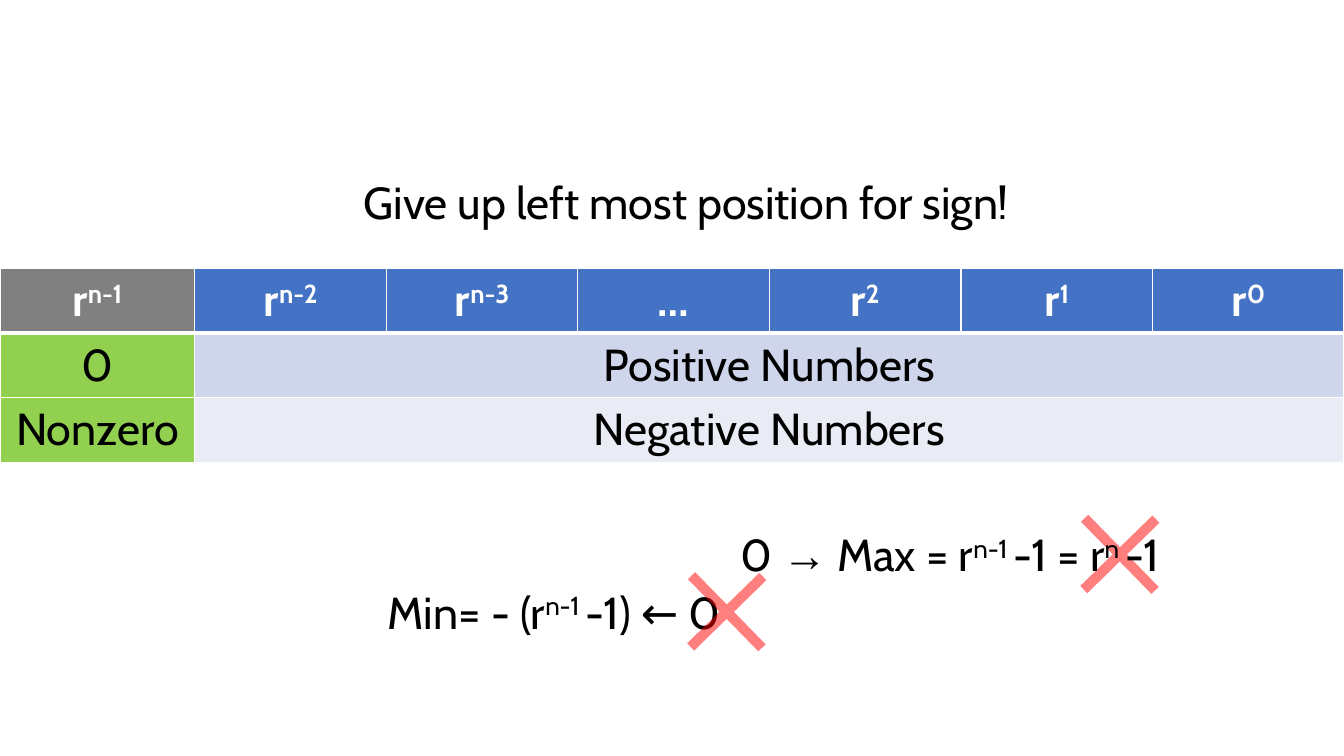
"""Build the slide on signed numbers with a sign position."""
from itertools import groupby
from lxml.etree import SubElement
from pptx import Presentation
from pptx.dml.color import RGBColor
from pptx.enum.shapes import MSO_SHAPE as SHAPE
from pptx.enum.text import MSO_AUTO_SIZE as FIT, PP_ALIGN as ALIGN
from pptx.oxml import parse_xml
from pptx.oxml.ns import nsdecls, qn
from pptx.util import Pt

BLACK = RGBColor(0x00, 0x00, 0x00)
WHITE = RGBColor(0xFF, 0xFF, 0xFF)
GRAY = RGBColor(0x80, 0x80, 0x80)
BLUE = RGBColor(0x44, 0x72, 0xC4)
GREEN = RGBColor(0x92, 0xD0, 0x50)
PALE = RGBColor(0xCF, 0xD5, 0xEA)
LIGHT = RGBColor(0xE9, 0xEB, 0xF5)
RED = RGBColor(0xFF, 0x00, 0x00)


def write(frame, text, color=BLACK, bold=False, align=ALIGN.LEFT):
    """Write text into a frame, with superscripts between carets."""
    par = frame.paragraphs[0]
    par.alignment = align
    for place, part in enumerate(text.split("^")):
        for arrow, chars in groupby(part, lambda char: char == "→"):
            run = par.add_run()
            run.text = "".join(chars)
            font = run.font
            font.name = "Times New Roman" if arrow else "Cabin"
            font.size, font.bold = Pt(32), bold
            font.color.rgb = color
            if place % 2:
                run._r.get_or_add_rPr().set("baseline", "30000")


def cross(left, top):
    """Draw a translucent red cross."""
    mark = slide.shapes.add_shape(SHAPE.CROSS, Pt(left), Pt(top), Pt(72), Pt(72))
    mark.adjustments[0] = 0.45
    mark.rotation = 45.7
    mark.shadow.inherit = False
    mark.fill.solid()
    mark.fill.fore_color.rgb = RED
    tint = mark._element.spPr.find(".//" + qn("a:srgbClr"))
    SubElement(tint, qn("a:alpha")).set("val", "50000")
    mark.line.fill.background()


deck = Presentation()
deck.slide_width, deck.slide_height = Pt(960), Pt(540)
slide = deck.slides.add_slide(deck.slide_layouts[6])

cross(763.9, 360)

ROWS = [
    (["r^n-1", "r^n-2", "r^n-3", "…", "r^2", "r^1", "r^0"], GRAY, BLUE),
    (["0", "Positive Numbers"], GREEN, PALE),
    (["Nonzero", "Negative Numbers"], GREEN, LIGHT),
]
grid = slide.shapes.add_table(3, 7, Pt(0), Pt(191.5), Pt(960), Pt(137.1)).table
for num, col in enumerate(grid.columns):
    col.width = Pt(136.8 if num else 139.2)
for num, (words, first, rest) in enumerate(ROWS):
    grid.rows[num].height = Pt(45.7)
    if num:
        grid.cell(num, 1).merge(grid.cell(num, 6))
    for col, cell in enumerate(grid.rows[num].cells):
        cell.fill.solid()
        cell.fill.fore_color.rgb = rest if col else first
        for spot, side in enumerate("LRTB"):
            wide = Pt(3 if (num, side) in [(0, "B"), (1, "T")] else 1)
            cell._tc.get_or_add_tcPr().insert(spot, parse_xml(
                f'<a:ln{side} {nsdecls("a")} w="{wide}"><a:solidFill>'
                f'<a:srgbClr val="{WHITE}"/></a:solidFill></a:ln{side}>'))
        if col < len(words):
            write(cell.text_frame, words[col], bold=not num,
                  color=BLACK if num else WHITE, align=ALIGN.CENTER)

NOTES = [
    ("0 → Max = r^n-1 ^-1 = r^n ^-1", 499, 373, 336.2, ALIGN.RIGHT),
    ("Min= - (r^n-1 ^-1) ← 0", 270, 414, 265.7, ALIGN.LEFT),
    ("Give up left most position for sign!", 252.7, 121, 480.2, ALIGN.LEFT),
]
for text, left, top, width, align in NOTES:
    box = slide.shapes.add_textbox(Pt(left), Pt(top), Pt(width), Pt(46.1))
    box.text_frame.word_wrap = False
    box.text_frame.auto_size = FIT.SHAPE_TO_FIT_TEXT
    write(box.text_frame, text, align=align)

cross(483.1, 401)

deck.save("out.pptx")
